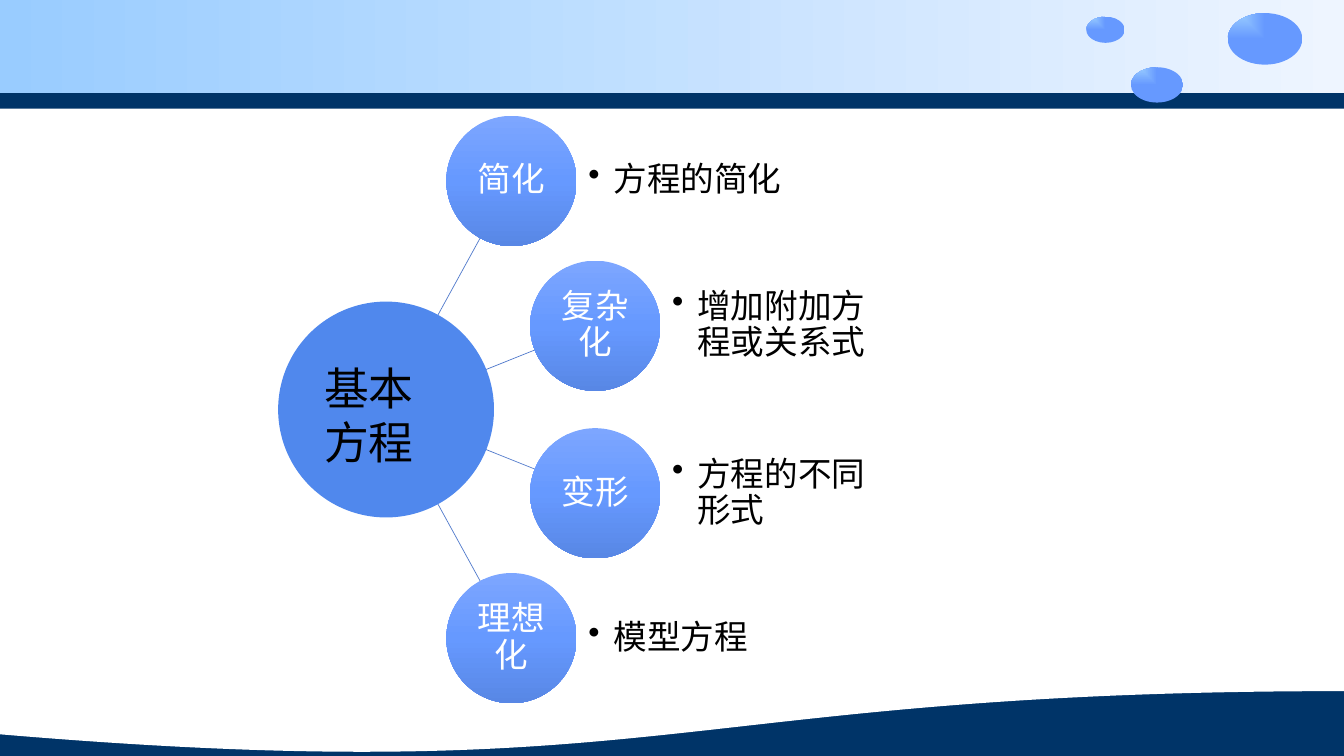
from dataclasses import dataclass
from math import hypot
from typing import Optional

from lxml import etree
from pptx import Presentation
from pptx.dml.color import RGBColor
from pptx.enum.shapes import MSO_CONNECTOR, MSO_SHAPE
from pptx.enum.text import MSO_ANCHOR, PP_ALIGN
from pptx.oxml.ns import qn
from pptx.shapes.autoshape import Shape
from pptx.slide import Slide
from pptx.text.text import TextFrame
from pptx.util import Cm, Pt

RECT = MSO_SHAPE.RECTANGLE
OVAL = MSO_SHAPE.OVAL
WAVE = MSO_SHAPE.FLOWCHART_DOCUMENT
LINE = MSO_CONNECTOR.STRAIGHT
LEFT, MID = PP_ALIGN.LEFT, PP_ALIGN.CENTER
TOP, CENTER = MSO_ANCHOR.TOP, MSO_ANCHOR.MIDDLE


@dataclass(frozen=True)
class Theme:
    font: str = "Noto Sans CJK SC"
    big: int = 32
    small: int = 24
    navy: str = "003468"
    white: str = "FFFFFF"
    black: str = "000000"
    hub: str = "5088ED"
    link: str = "527BCC"
    band: tuple = ("99CCFF", "EEF5FF")
    drop: tuple = ("99CCFF", "6699FF")
    node: tuple = ("7DA6FF", "6699FF", "5887E5")


@dataclass(frozen=True)
class Disc:
    """A circle or ellipse by its centre and size, in cm."""
    x: float
    y: float
    wide: float
    high: float


@dataclass(frozen=True)
class Topic:
    name: str
    note: str
    dx: float
    dy: float


THEME = Theme()
WIDTH, HEIGHT = 33.87, 19.05
HUB = Disc(9.73, 10.32, 5.44, 5.44)
NODE = 3.28  # diameter of a topic circle

DROPS = [
    Disc(27.86, 0.75, 0.97, 0.66),
    Disc(29.16, 2.14, 1.32, 0.89),
    Disc(31.88, 0.98, 1.88, 1.3),
]
TOPICS = [
    Topic("简化", "方程的简化", 3.16, -5.76),
    Topic("复杂化", "增加附加方程或关系式", 5.27, -2.11),
    Topic("变形", "方程的不同形式", 5.27, 2.11),
    Topic("理想化", "模型方程", 3.16, 5.76),
]


def add_form(slide: Slide, kind: int, x: float, y: float, wide: float,
             high: float, color: Optional[str] = None) -> Shape:
    form = slide.shapes.add_shape(kind, Cm(x), Cm(y), Cm(wide), Cm(high))
    form.shadow.inherit = False
    form.line.fill.background()
    if color:
        form.fill.solid()
        form.fill.fore_color.rgb = RGBColor.from_string(color)
    return form


def add_disc(slide: Slide, disc: Disc, color: Optional[str] = None) -> Shape:
    return add_form(slide, OVAL, disc.x - disc.wide / 2,
                    disc.y - disc.high / 2, disc.wide, disc.high, color)


def blend(form: Shape, colors: tuple, angle: Optional[int] = None) -> None:
    """Even gradient: linear at an angle, else spreading from top left."""
    form.fill.gradient()
    grad = form.element.spPr.find(qn("a:gradFill"))
    for part in list(grad):
        grad.remove(part)
    stops = etree.SubElement(grad, qn("a:gsLst"))
    for i, color in enumerate(colors):
        spot = str(100000 * i // (len(colors) - 1))
        stop = etree.SubElement(stops, qn("a:gs"), pos=spot)
        etree.SubElement(stop, qn("a:srgbClr"), val=color)
    if angle is None:
        way = etree.SubElement(grad, qn("a:path"), {"path": "rect"})
        etree.SubElement(way, qn("a:fillToRect"), r="100000", b="100000")
    else:
        etree.SubElement(grad, qn("a:lin"), ang=str(angle * 60000), scaled="0")


def write(frame: TextFrame, text: str, size: int, color: str, align: int,
          anchor: int, pad: Optional[float] = None, space: float = 1.0,
          bullet: bool = False) -> None:
    frame.word_wrap = True
    frame.vertical_anchor = anchor
    if pad is not None:
        frame.margin_left = frame.margin_right = Cm(pad)
        frame.margin_top = frame.margin_bottom = Cm(pad)
    para = frame.paragraphs[0]
    para.text = text
    para.alignment = align
    para.line_spacing = space
    props = para._p.get_or_add_pPr()
    if bullet:
        para.level = 1
        indent = Cm(0.635)
        props.set("marL", str(indent))
        props.set("indent", str(-indent))
        etree.SubElement(props, qn("a:buChar"), char="•")
    para.font.size = Pt(size)
    para.font.color.rgb = RGBColor.from_string(color)
    para.font.name = THEME.font
    etree.SubElement(props.find(qn("a:defRPr")), qn("a:ea"),
                     typeface=THEME.font)


def add_link(slide: Slide, topic: Topic) -> None:
    """Line from just inside the hub to the edge of the topic circle."""
    span = hypot(topic.dx, topic.dy)
    start = 0.4 * HUB.wide / span
    end = 1 - NODE / 2 / span
    link = slide.shapes.add_connector(
        LINE, Cm(HUB.x + topic.dx * start), Cm(HUB.y + topic.dy * start),
        Cm(HUB.x + topic.dx * end), Cm(HUB.y + topic.dy * end))
    link.line.color.rgb = RGBColor.from_string(THEME.link)
    link.line.width = Pt(0.5)
    etree.SubElement(link._element.spPr, qn("a:effectLst"))


def add_topic(slide: Slide, topic: Topic) -> None:
    disc = Disc(HUB.x + topic.dx, HUB.y + topic.dy, NODE, NODE)
    node = add_disc(slide, disc)
    blend(node, THEME.node, 90)
    write(node.text_frame, topic.name, THEME.small, THEME.white, MID, CENTER,
          pad=0.05, space=0.9)
    note = slide.shapes.add_textbox(
        Cm(disc.x + NODE / 2 + 0.3), Cm(disc.y - NODE / 2), Cm(4.9), Cm(NODE))
    write(note.text_frame, topic.note, THEME.small, THEME.black, LEFT, CENTER,
          pad=0, space=0.9, bullet=True)


def add_back(slide: Slide) -> None:
    back = slide.background.fill
    back.solid()
    back.fore_color.rgb = RGBColor.from_string(THEME.navy)
    band = add_form(slide, RECT, 0, 0, WIDTH, 2.34)
    blend(band, THEME.band, 0)
    add_form(slide, RECT, 0, 2.74, WIDTH, 10.16, THEME.white)
    add_form(slide, WAVE, 0, 10.8, WIDTH, HEIGHT - 10.8, THEME.white)
    for drop in DROPS:
        blend(add_disc(slide, drop), THEME.drop)


def main() -> None:
    deck = Presentation()
    deck.slide_width, deck.slide_height = Cm(WIDTH), Cm(HEIGHT)
    slide = deck.slides.add_slide(deck.slide_layouts[6])

    # Backdrop with header band and drops
    add_back(slide)

    # Links, hub and topics
    for topic in TOPICS:
        add_link(slide, topic)
    add_disc(slide, HUB, THEME.hub)
    for topic in TOPICS:
        add_topic(slide, topic)

    # Hub label
    label = add_form(slide, RECT, 7.92, 8.97, 3.2, 2.39, THEME.hub)
    write(label.text_frame, "基本方程", THEME.big, THEME.black, LEFT, TOP)

    deck.save("out.pptx")


if __name__ == "__main__":
    main()
